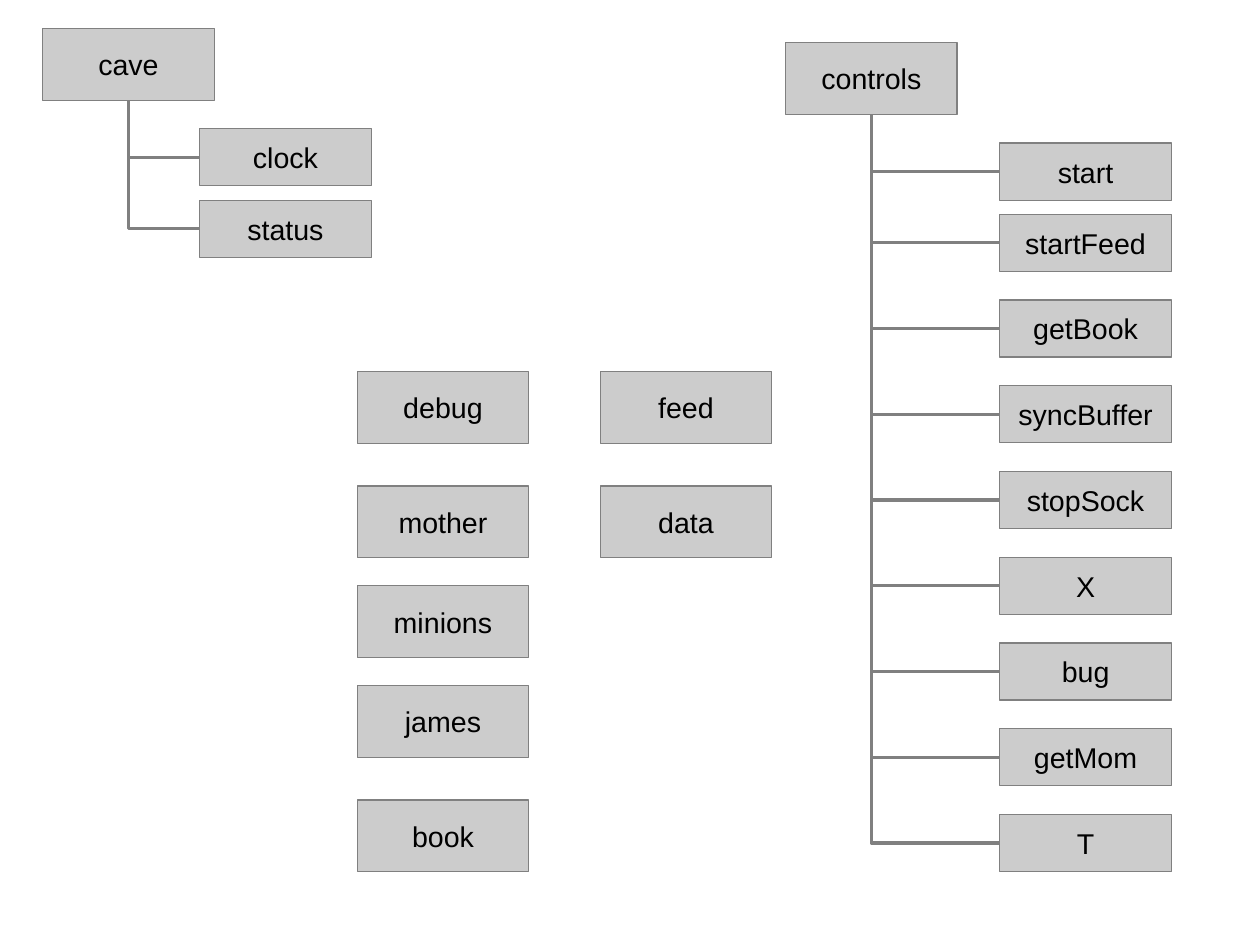
"""Draw the module diagram: two trees of commands and a grid of modules."""
from lxml import etree
from pptx import Presentation
from pptx.dml.color import RGBColor
from pptx.enum.shapes import MSO_CONNECTOR, MSO_SHAPE
from pptx.enum.text import MSO_ANCHOR, PP_ALIGN
from pptx.oxml.ns import qn
from pptx.util import Cm, Pt

CAVE_ITEMS = ["clock", "status"]
CONTROL_ITEMS = ["start", "startFeed", "getBook", "syncBuffer", "stopSock",
                 "X", "bug", "getMom", "T"]
MODULE_COLUMNS = [
    (7.94, ["debug", "mother", "minions", "james", "book"]),
    (13.34, ["feed", "data"]),
]
MODULE_TOPS = [8.26, 10.8, 13.02, 15.24, 17.78]

GRAY = RGBColor(0xCC, 0xCC, 0xCC)
DARK_GRAY = RGBColor(0x80, 0x80, 0x80)
BLACK = RGBColor(0, 0, 0)
RECT = MSO_SHAPE.RECTANGLE
ELBOW = MSO_CONNECTOR.ELBOW
MIDDLE = MSO_ANCHOR.MIDDLE
CENTER = PP_ALIGN.CENTER
BOTTOM_SIDE, LEFT_SIDE = 2, 1
BOX_W, MODULE_H, ITEM_H = 3.81, 1.59, 1.27


def spread(first, last, count):
    """Return evenly spaced positions from first to last."""
    return [first + (last - first) * i / (count - 1) for i in range(count)]


def write(sp, text, size=18, font="Arial", color=BLACK, align=CENTER):
    """Put formatted text in the middle of a shape."""
    tf = sp.text_frame
    tf.word_wrap = False
    tf.vertical_anchor = MIDDLE
    p = tf.paragraphs[0]
    p.alignment = align
    r = p.add_run()
    r.text = text
    r.font.size = Pt(size)
    r.font.name = font
    r.font.color.rgb = color


def add_box(slide, text, x, y, height=MODULE_H):
    """Add one labelled box."""
    sp = slide.shapes.add_shape(RECT, Cm(x), Cm(y), Cm(BOX_W), Cm(height))
    sp.shadow.inherit = False
    sp.fill.solid()
    sp.fill.fore_color.rgb = GRAY
    sp.line.color.rgb = DARK_GRAY
    sp.line.width = Pt(0)
    write(sp, text)
    return sp


def add_branch(slide, parent, child):
    """Join a parent's bottom to a child's left side with one bend."""
    x, y = parent.left + parent.width // 2, parent.top + parent.height
    dx = child.left - x
    dy = child.top + child.height // 2 - y
    line = slide.shapes.add_connector(ELBOW, x, y, x + dx, y + dy)
    line.begin_connect(parent, BOTTOM_SIDE)
    line.end_connect(child, LEFT_SIDE)
    line.line.color.rgb = DARK_GRAY
    line.line.width = Pt(0)
    line.left, line.top = x + (dx - dy) // 2, y + (dy - dx) // 2
    line.width, line.height = dy, dx
    sp_pr = line._element.spPr
    xfrm = sp_pr.find(qn("a:xfrm"))
    xfrm.set("rot", "16200000")
    xfrm.set("flipH", "1")
    sp_pr.find(qn("a:prstGeom")).set("prst", "bentConnector2")
    etree.SubElement(sp_pr, qn("a:effectLst"))


def add_tree(slide, root, x, y, items, item_x, item_tops):
    """Add a root box with its items branching off below."""
    parent = add_box(slide, root, x, y)
    for text, top in zip(items, item_tops):
        add_branch(slide, parent, add_box(slide, text, item_x, top, ITEM_H))


def main():
    """Build and save the slide."""
    prs = Presentation()
    prs.slide_width, prs.slide_height = Cm(28), Cm(21)
    slide = prs.slides.add_slide(prs.slide_layouts[6])

    add_tree(slide, "cave", 0.95, 0.64, CAVE_ITEMS, 4.44, [2.86, 4.45])
    control_tops = [3.18] + spread(4.76, 18.1, len(CONTROL_ITEMS) - 1)
    add_tree(slide, "controls", 17.46, 0.95, CONTROL_ITEMS, 22.22, control_tops)
    for x, modules in MODULE_COLUMNS:
        for text, top in zip(modules, MODULE_TOPS):
            add_box(slide, text, x, top)

    prs.save("out.pptx")


if __name__ == "__main__":
    main()
